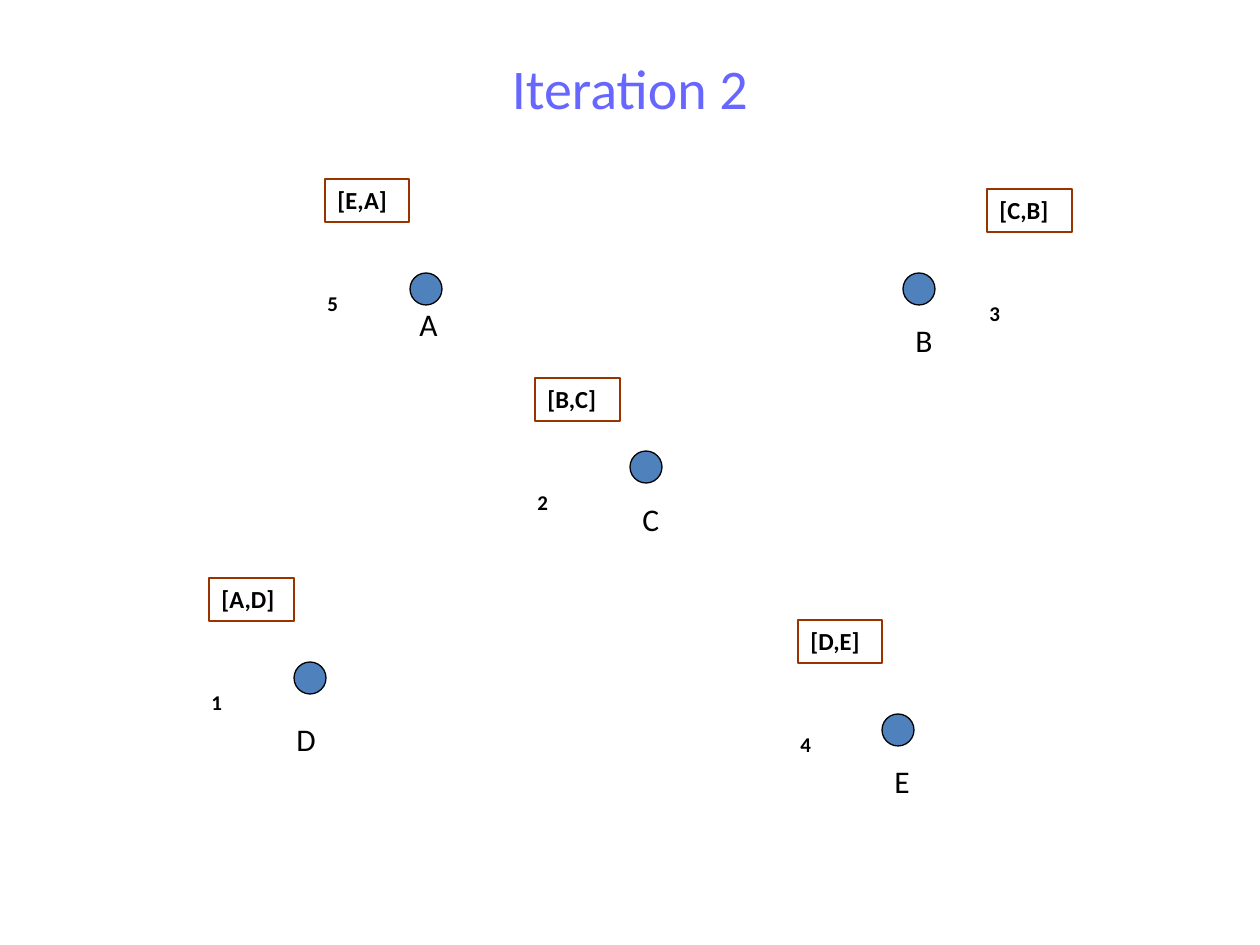
from typing import NamedTuple

import pptx
import pptx.dml.color
import pptx.enum.shapes
import pptx.enum.text
import pptx.util

EMU_PER_PX = 914400 / 126
FONT = "Calibri"
BLACK = pptx.dml.color.RGBColor(0x00, 0x00, 0x00)
TITLE_BLUE = pptx.dml.color.RGBColor(0x67, 0x67, 0xFF)
NODE_BLUE = pptx.dml.color.RGBColor(0x4F, 0x81, 0xBD)
TOUR_BROWN = pptx.dml.color.RGBColor(0x99, 0x33, 0x00)

NODE_SIZE = 32
TOUR_DX, TOUR_DY = 10, -105  # from an ant's number to its tour box


class City(NamedTuple):
    name: str
    x: int
    y: int
    label_x: int
    label_y: int


class Ant(NamedTuple):
    number: int
    tour: str
    x: int
    y: int
    tour_width: int


CITIES = [
    City("A", 410, 273, 407, 299),
    City("B", 903, 273, 903, 315),
    City("C", 630, 451, 630, 494),
    City("D", 294, 662, 284, 714),
    City("E", 882, 714, 882, 756),
]
ANTS = [
    Ant(3, "[C,B]", 977, 294, 85),
    Ant(5, "[E,A]", 315, 284, 84),
    Ant(1, "[A,D]", 199, 683, 85),
    Ant(2, "[B,C]", 525, 483, 85),
    Ant(4, "[D,E]", 788, 725, 84),
]


def px(n: int) -> pptx.util.Emu:
    return pptx.util.Emu(round(n * EMU_PER_PX))


def add_text(shapes, text: str, x: int, y: int, w: int, h: int, size: int,
             bold: bool = False, color=BLACK):
    sp = shapes.add_textbox(px(x), px(y), px(w), px(h))
    tf = sp.text_frame
    tf.word_wrap = True
    p = tf.paragraphs[0]
    p.text = text
    p.font.name = FONT
    p.font.size = pptx.util.Pt(size)
    p.font.bold = bold
    p.font.color.rgb = color
    return sp


def set_line(sp, color) -> None:
    sp.line.color.rgb = color
    sp.line.width = pptx.util.Pt(0.75)


def add_title(shapes, text: str) -> None:
    tf = add_text(shapes, text, 63, 38, 1134, 98, 32, color=TITLE_BLUE).text_frame
    tf.vertical_anchor = pptx.enum.text.MSO_ANCHOR.MIDDLE
    tf.paragraphs[0].alignment = pptx.enum.text.PP_ALIGN.CENTER


def add_city(shapes, city: City) -> None:
    sp = shapes.add_shape(pptx.enum.shapes.MSO_SHAPE.OVAL, px(city.x), px(city.y),
                          px(NODE_SIZE), px(NODE_SIZE))
    sp.shadow.inherit = False
    sp.fill.solid()
    sp.fill.fore_color.rgb = NODE_BLUE
    set_line(sp, BLACK)
    add_text(shapes, city.name, city.label_x, city.label_y, 47, 50, 18)


def add_ant(shapes, ant: Ant) -> None:
    """Group an ant's number with the box of its tour so far."""
    group = shapes.add_group_shape()
    add_text(group.shapes, str(ant.number), ant.x, ant.y, 37, 38, 12, bold=True)
    box = add_text(group.shapes, ant.tour, ant.x + TOUR_DX, ant.y + TOUR_DY,
                   ant.tour_width, 43, 14, bold=True)
    set_line(box, TOUR_BROWN)


def main() -> None:
    prs = pptx.Presentation()
    prs.slide_width, prs.slide_height = px(1260), px(945)
    s = prs.slides.add_slide(prs.slide_layouts[6])
    add_title(s.shapes, "Iteration 2")
    for city in CITIES:
        add_city(s.shapes, city)
    for ant in ANTS:
        add_ant(s.shapes, ant)
    prs.save("out.pptx")


if __name__ == "__main__":
    main()
